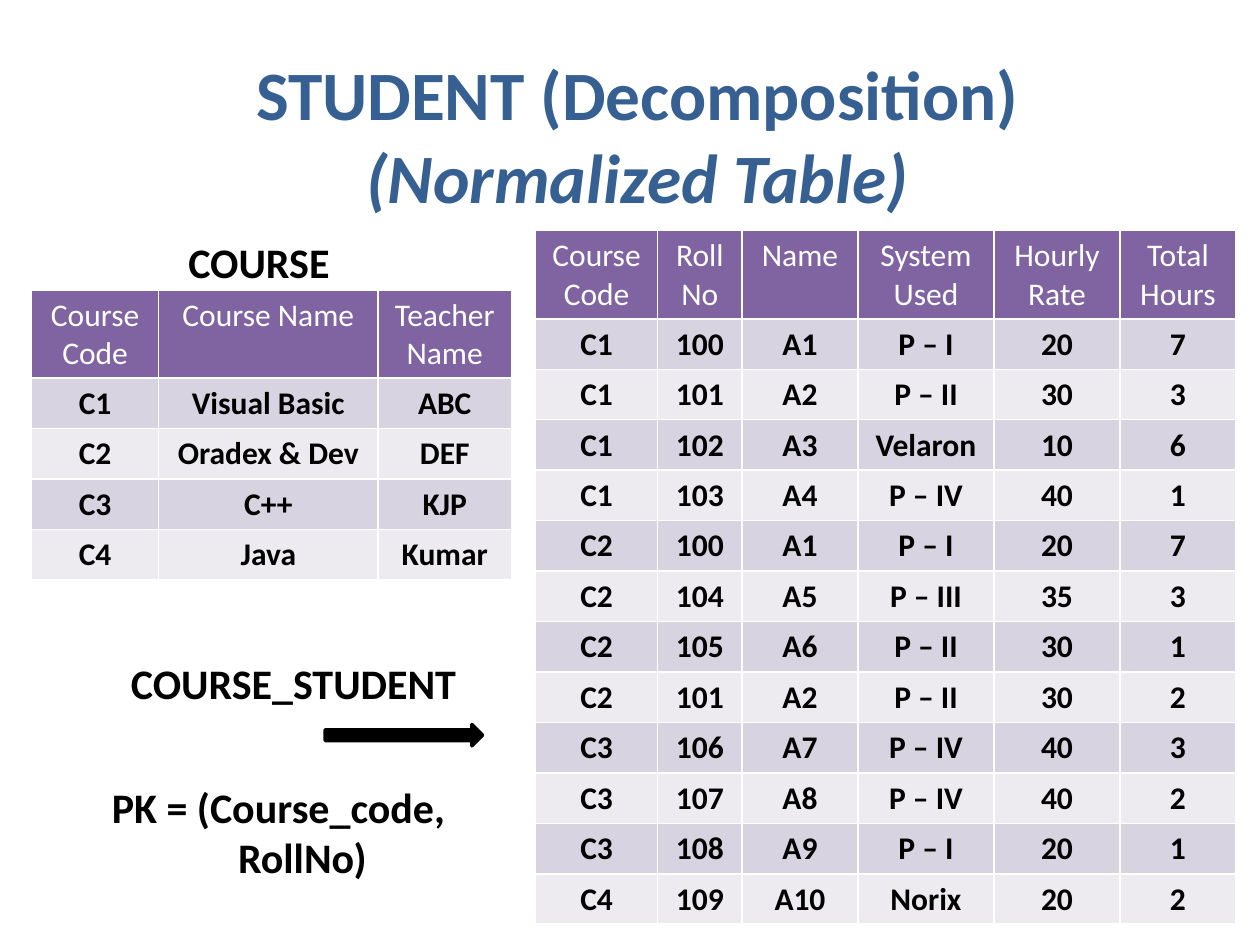
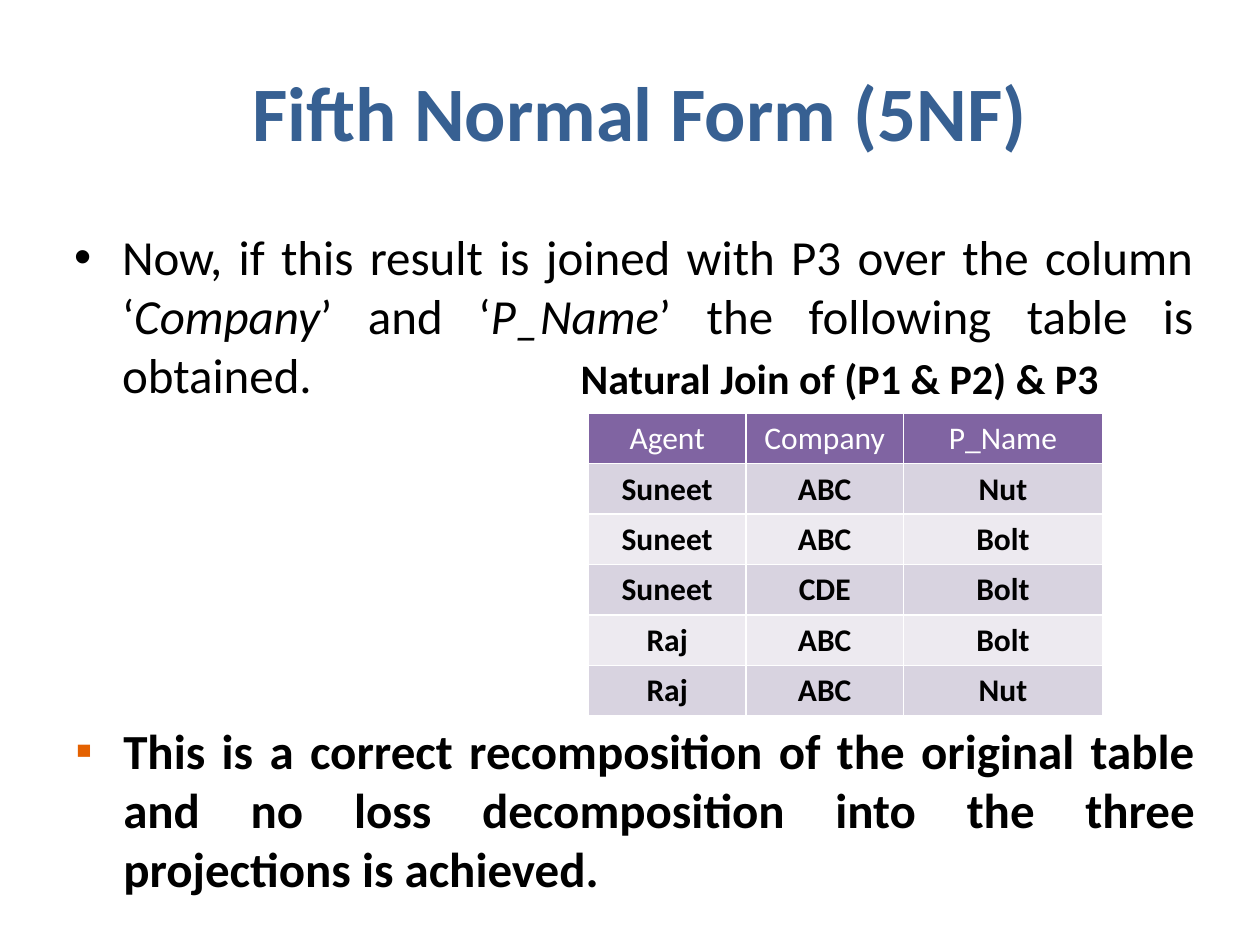
from lxml import etree
from pptx import Presentation
from pptx import util as u
from pptx.dml import color
from pptx.enum import shapes, text
from pptx.oxml import ns

FONT = "Calibri"
TITLE_BLUE, BLACK, WHITE, ORANGE = "376092", "000000", "FFFFFF", "E46100"
HEADER_PURPLE, BANDS = "8064A2", ("D8D3E0", "EDEAF0")
HEADING_SIZE, BODY_SIZE, CELL_SIZE = 24, 28, 18
HANGING = 0.38
CENTER, JUSTIFY = text.PP_ALIGN.CENTER, text.PP_ALIGN.JUSTIFY
rgb = color.RGBColor.from_string


def add_text(slide, box, pieces, size, align=CENTER, bold=True, ink=BLACK,
             hanging=HANGING, bullet=None, bullet_ink=BLACK):
    frame = slide.shapes.add_textbox(*map(u.Inches, box)).text_frame
    frame.word_wrap = True
    paragraph = frame.paragraphs[0]
    paragraph.text = pieces[0]
    for piece in pieces[1:]:
        paragraph.add_run().text = piece
    paragraph.alignment = align
    for order, run in enumerate(paragraph.runs):
        run.font.name, run.font.size, run.font.bold = FONT, u.Pt(size), bold
        run.font.italic = order % 2 == 1
        run.font.color.rgb = rgb(ink)
    properties = paragraph._p.get_or_add_pPr()
    properties.set("marL", str(u.Inches(hanging)))
    properties.set("indent", str(-u.Inches(hanging)))
    if bullet:
        bullet_color = etree.SubElement(properties, ns.qn("a:buClr"))
        etree.SubElement(bullet_color, ns.qn("a:srgbClr"), val=bullet_ink)
        etree.SubElement(properties, ns.qn("a:buFont"), typeface="Arial")
        etree.SubElement(properties, ns.qn("a:buChar"), char=bullet)
    return frame


def add_table(slide, left, top, widths, header_height, rows):
    row_height = 0.4
    height = header_height + row_height * (len(rows) - 1)
    table = slide.shapes.add_table(
        len(rows), len(widths), u.Inches(left), u.Inches(top),
        u.Inches(sum(widths)), u.Inches(height)).table
    for column, width in zip(table.columns, widths):
        column.width = u.Inches(width)
    for r, values in enumerate(rows):
        table.rows[r].height = u.Inches(row_height if r else header_height)
        for c, value in enumerate(values):
            cell = table.cell(r, c)
            cell.fill.solid()
            cell.fill.fore_color.rgb = rgb(BANDS[(r - 1) % 2] if r else HEADER_PURPLE)
            paragraph = cell.text_frame.paragraphs[0]
            paragraph.text = value
            paragraph.alignment = CENTER
            font = paragraph.runs[0].font
            font.name, font.size, font.bold = FONT, u.Pt(CELL_SIZE), r > 0
            font.color.rgb = rgb(BLACK if r else WHITE)


course_rows = [
    ("Course Code", "Course Name", "Teacher Name"),
    ("C1", "Visual Basic", "ABC"),
    ("C2", "Oradex & Dev", "DEF"),
    ("C3", "C++", "KJP"),
    ("C4", "Java", "Kumar"),
]
course_student_rows = [
    ("Course Code", "Roll No", "Name", "System Used", "Hourly Rate", "Total Hours"),
    ("C1", "100", "A1", "P – I", "20", "7"),
    ("C1", "101", "A2", "P – II", "30", "3"),
    ("C1", "102", "A3", "Velaron", "10", "6"),
    ("C1", "103", "A4", "P – IV", "40", "1"),
    ("C2", "100", "A1", "P – I", "20", "7"),
    ("C2", "104", "A5", "P – III", "35", "3"),
    ("C2", "105", "A6", "P – II", "30", "1"),
    ("C2", "101", "A2", "P – II", "30", "2"),
    ("C3", "106", "A7", "P – IV", "40", "3"),
    ("C3", "107", "A8", "P – IV", "40", "2"),
    ("C3", "108", "A9", "P – I", "20", "1"),
    ("C4", "109", "A10", "Norix", "20", "2"),
]
natural_join_rows = [
    ("Agent", "Company", "P_Name"),
    ("Suneet", "ABC", "Nut"),
    ("Suneet", "ABC", "Bolt"),
    ("Suneet", "CDE", "Bolt"),
    ("Raj", "ABC", "Bolt"),
    ("Raj", "ABC", "Nut"),
]

deck = Presentation()
deck.slide_width, deck.slide_height = u.Inches(10), u.Inches(7.5)
blank = deck.slide_layouts[6]
decomposition, fifth_form = [deck.slides.add_slide(blank) for _ in range(2)]

for slide, left, top, title, size in [
    (decomposition, 0.56, 0.44, "STUDENT (Decomposition)\v(Normalized Table)", 39.6),
    (fifth_form, 0.58, 0.25, "Fifth Normal Form (5NF)", 44),
]:
    heading = add_text(slide, (left, top, 9, 1.25), [title], size,
                       ink=TITLE_BLUE, hanging=0)
    heading.vertical_anchor = text.MSO_ANCHOR.MIDDLE

add_table(decomposition, 4.25, 1.83, (0.97, 0.67, 0.92, 1.08, 1, 0.92), 0.7,
          course_student_rows)
add_table(decomposition, 0.25, 2.3, (1.01, 1.74, 1.06), 0.7, course_rows)
for box, label in [
    ((1.22, 1.83, 1.67, 0.52), "COURSE"),
    ((0.58, 5.17, 3.5, 0.52), "COURSE_STUDENT"),
    ((0.67, 6.15, 3.08, 0.52), "PK = (Course_code, RollNo)"),
]:
    add_text(decomposition, box, [label], HEADING_SIZE)

pointer = decomposition.shapes.add_shape(
    shapes.MSO_SHAPE.RIGHT_ARROW, *map(u.Inches, (2.58, 5.75, 1.25, 0.17)))
pointer.shadow.inherit = False
pointer.fill.solid()
pointer.fill.fore_color.rgb = rgb(BLACK)
pointer.line.color.rgb = rgb(BLACK)
pointer.line.width = u.Pt(2)

add_text(fifth_form, (0.49, 1.75, 9.08, 1.42),
         ["Now, if this result is joined with P3 over the column ‘", "Company",
          "’ and ‘", "P_Name", "’ the following table is obtained."],
         BODY_SIZE, JUSTIFY, bold=False, bullet="•")
add_table(fifth_form, 4.67, 3.28, (1.25, 1.25, 1.58), 0.4, natural_join_rows)
add_text(fifth_form, (4.33, 2.75, 4.67, 0.52), ["Natural Join of (P1 & P2) & P3"],
         HEADING_SIZE)
add_text(fifth_form, (0.5, 5.67, 9.08, 1.67),
         ["This is a correct recomposition of the original table and no loss "
          "decomposition into the three projections is achieved."],
         BODY_SIZE, JUSTIFY, bullet="▪", bullet_ink=ORANGE)

deck.save("out.pptx")
